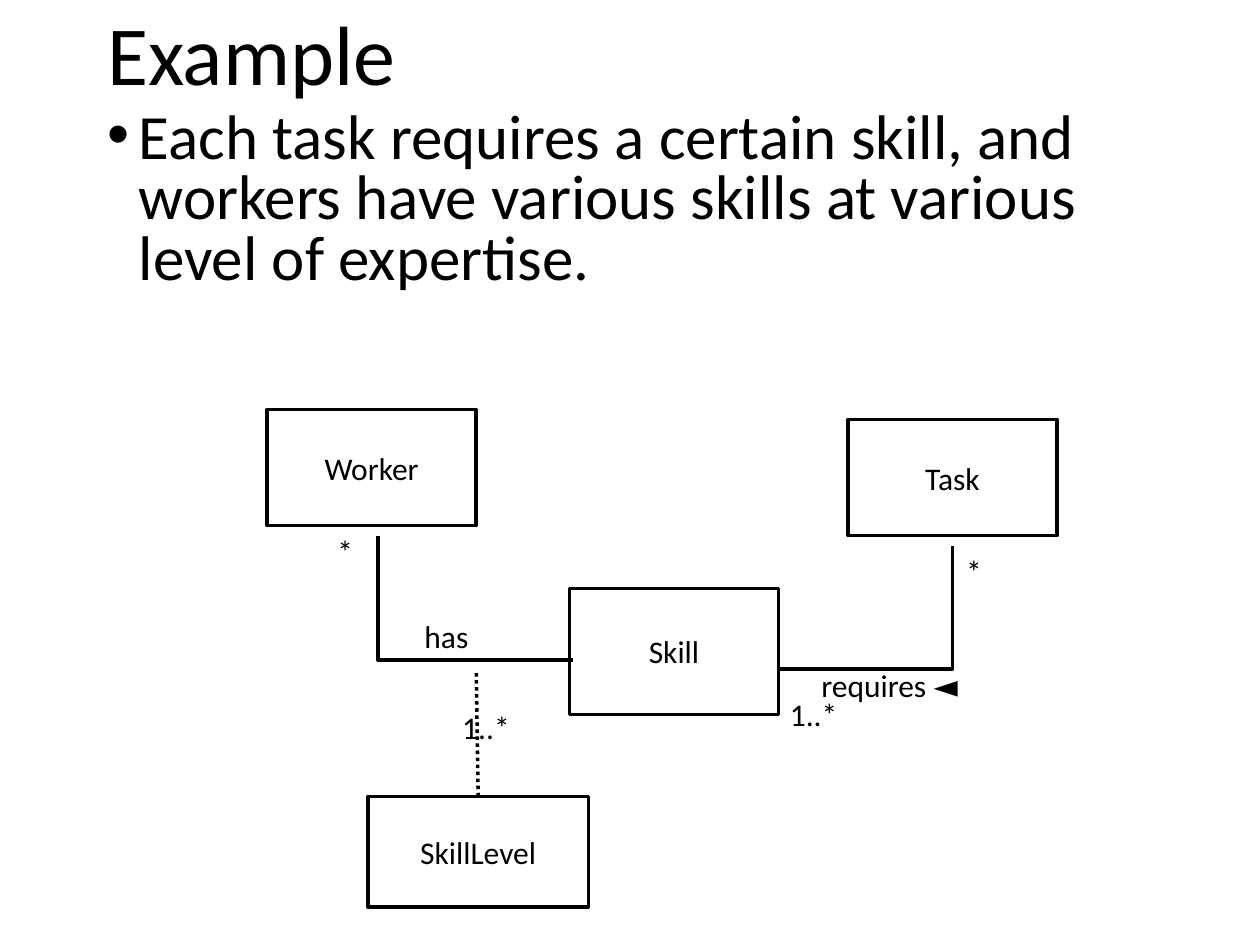
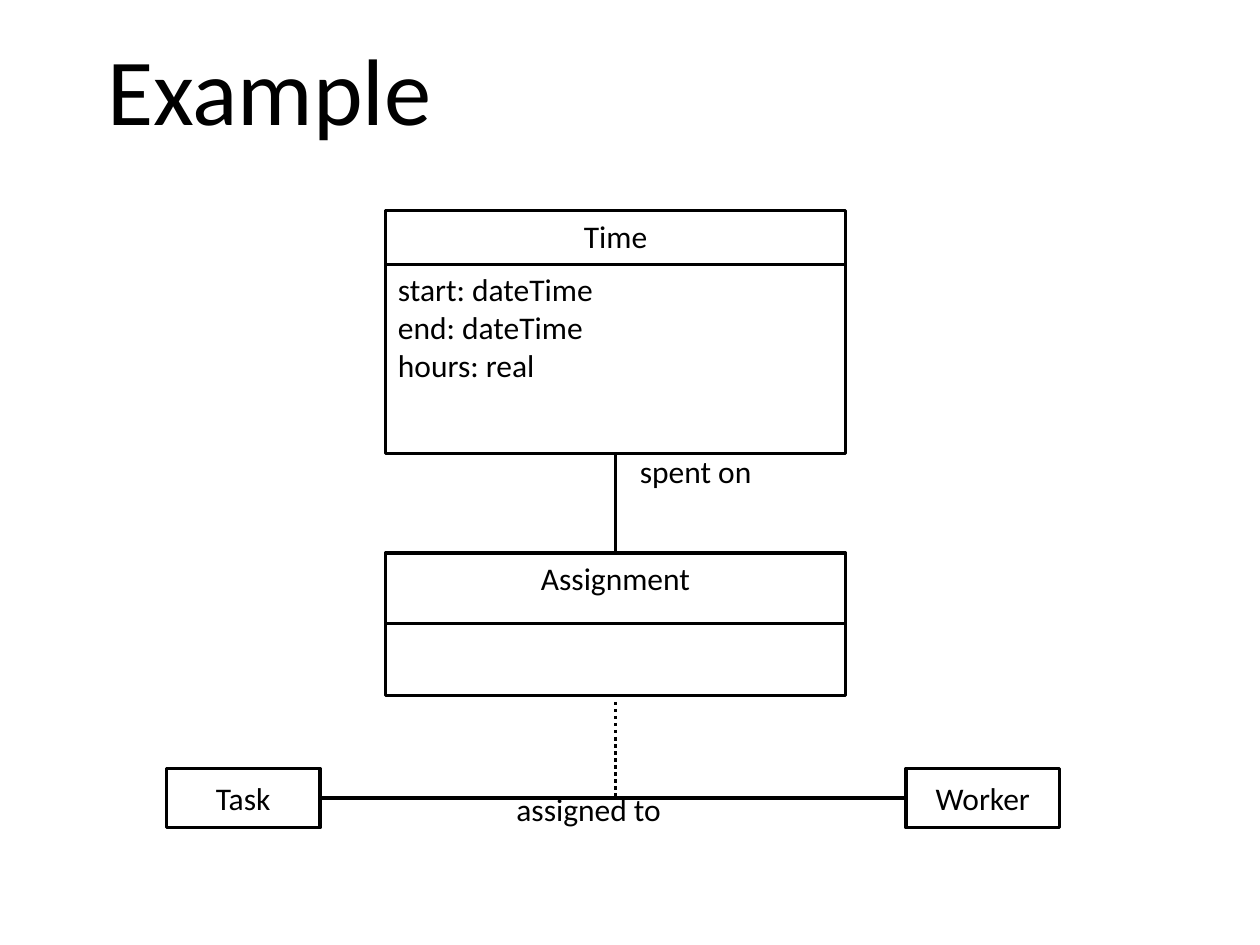
import lxml.etree
import pptx
import pptx.dml.color
import pptx.enum.dml
import pptx.enum.shapes
import pptx.enum.text
import pptx.oxml.ns
import pptx.util

Inches = pptx.util.Inches
Pt = pptx.util.Pt
ALIGN = pptx.enum.text.PP_ALIGN
ANCHOR = pptx.enum.text.MSO_ANCHOR
AUTO_SIZE = pptx.enum.text.MSO_AUTO_SIZE
CONNECTOR = pptx.enum.shapes.MSO_CONNECTOR
COLORS = {"ink": "000000", "paper": "FFFFFF"}
FONT = "Calibri"
LABEL_SIZE = 18
LINE_WIDTH = 2
TOP, LEFT, BOTTOM, RIGHT = range(4)


def color(name):
    return pptx.dml.color.RGBColor.from_string(COLORS[name])


def add_element(parent, tag, **attributes):
    return lxml.etree.SubElement(parent, pptx.oxml.ns.qn(tag), **attributes)


def format_text(text_frame, size=LABEL_SIZE, alignment=ALIGN.LEFT):
    for paragraph in text_frame.paragraphs:
        paragraph.alignment = alignment
        paragraph.font.size = Pt(size)
        for run in paragraph.runs:
            run.font.name = FONT
            run.font.size = Pt(size)
            run.font.color.rgb = color("ink")


def place(shape, left, top, width, height):
    shape.left, shape.top = Inches(left), Inches(top)
    shape.width, shape.height = Inches(width), Inches(height)


def add_title(slide, text, height, size):
    title = slide.shapes.title
    place(title, 0.75, 0, 8.5, height)
    text_frame = title.text_frame
    text_frame.text = text
    text_frame.auto_size = AUTO_SIZE.NONE
    text_frame.vertical_anchor = ANCHOR.MIDDLE
    text_frame.paragraphs[0].line_spacing = 0.9
    format_text(text_frame, size)


def add_body(slide, text, top, height):
    body = slide.placeholders[1]
    place(body, 0.75, top, 8.5, height)
    text_frame = body.text_frame
    text_frame.text = text
    text_frame.auto_size = AUTO_SIZE.NONE
    paragraph = text_frame.paragraphs[0]
    properties = paragraph._p.get_or_add_pPr()
    properties.set("marL", str(Inches(0.25)))
    properties.set("indent", str(-Inches(0.25)))
    add_element(properties, "a:buChar", char="•")
    paragraph.line_spacing = 0.8
    paragraph.space_before = Pt(0)
    format_text(text_frame, 36)


def add_box(slide, text, left, top, width, height):
    box = slide.shapes.add_shape(
        pptx.enum.shapes.MSO_SHAPE.RECTANGLE,
        Inches(left), Inches(top), Inches(width), Inches(height))
    box.shadow.inherit = False
    box.fill.solid()
    box.fill.fore_color.rgb = color("paper")
    box.line.color.rgb = color("ink")
    box.line.width = Pt(LINE_WIDTH)
    text_frame = box.text_frame
    text_frame.text = text
    text_frame.word_wrap = False
    text_frame.vertical_anchor = ANCHOR.MIDDLE
    format_text(text_frame, alignment=ALIGN.CENTER)
    return box


def add_label(slide, text, left, top, width, height=0.4):
    label = slide.shapes.add_textbox(
        Inches(left), Inches(top), Inches(width), Inches(height))
    label.text_frame.text = text
    label.text_frame.word_wrap = False
    label.text_frame.auto_size = AUTO_SIZE.SHAPE_TO_FIT_TEXT
    format_text(label.text_frame)


def add_line(slide, start, end, dotted=False, kind=CONNECTOR.STRAIGHT):
    line = slide.shapes.add_connector(
        kind, *(Inches(value) for value in (*start, *end)))
    line.line.color.rgb = color("ink")
    line.line.width = Pt(LINE_WIDTH)
    if dotted:
        line.line.dash_style = pptx.enum.dml.MSO_LINE.ROUND_DOT
        dash = line._element.spPr.find(".//" + pptx.oxml.ns.qn("a:prstDash"))
        dash.set("val", "sysDot")
    add_element(line._element.spPr, "a:effectLst")
    return line


def join(slide, first, first_side, second, second_side):
    line = add_line(slide, (0, 0), (1, 1))
    line.begin_connect(first, first_side)
    line.end_connect(second, second_side)


def add_corner(slide, upper, lower):
    half_across = (lower[0] - upper[0]) / 2
    half_down = (lower[1] - upper[1]) / 2
    middle_x, middle_y = upper[0] + half_across, upper[1] + half_down
    goes_right = half_across > 0
    side = half_down if goes_right else -half_down
    line = add_line(
        slide,
        (middle_x + side, middle_y - abs(half_across)),
        (middle_x - side, middle_y + abs(half_across)),
        kind=CONNECTOR.ELBOW)
    properties = line._element.spPr
    properties.find(pptx.oxml.ns.qn("a:prstGeom")).set("prst", "bentConnector2")
    turn = 270 if goes_right else 90
    properties.find(pptx.oxml.ns.qn("a:xfrm")).set("rot", str(turn * 60000))


def add_class_box(slide, name, left, top, width, height, divider, attributes=()):
    box = add_box(slide, name, left, top, width, height)
    text_frame = box.text_frame
    text_frame.word_wrap = True
    text_frame.vertical_anchor = ANCHOR.TOP
    if attributes:
        paragraph = text_frame.add_paragraph()
        paragraph.text = "\v".join(attributes)
        format_text(text_frame)
        text_frame.paragraphs[0].alignment = ALIGN.CENTER
        paragraph.space_before = Pt(LABEL_SIZE / 2)
    add_line(slide, (left, top + divider), (left + width, top + divider))
    return box


def add_skill_diagram(slide, left, top):
    add_box(slide, "Worker", left, top, 1.66, 0.92)
    add_box(slide, "Skill", left + 2.4, top + 1.42, 1.66, 1)
    add_box(slide, "Task", left + 4.61, top + 0.08, 1.66, 0.92)
    add_corner(slide, (left + 5.44, top + 1.08), (left + 4.07, top + 2.06))
    add_corner(slide, (left + 0.88, top + 1), (left + 2.43, top + 1.99))
    skill_level = add_box(slide, "SkillLevel", left + 0.8, top + 3.07, 1.75, 0.88)
    dotted_line = add_line(
        slide, (left + 1.67, top + 3.07), (left + 1.66, top + 2.08), dotted=True)
    dotted_line.begin_connect(skill_level, TOP)
    for text, across, down, width in (
        ("requires ◄", 4.3, 1.99, 1.69),
        ("has", 1.15, 1.6, 0.65),
        ("1..*", 1.45, 2.32, 0.58),
        ("*", 0.46, 0.92, 0.33),
        ("*", 5.45, 1.08, 0.33),
        ("1..*", 4.05, 2.22, 0.58),
    ):
        add_label(slide, text, left + across, top + down, width)


def add_assignment_diagram(slide, left, top):
    class_left, class_width = left + 1.74, 3.65
    time = add_class_box(
        slide, "Time", class_left, top, class_width, 1.93, 0.43,
        ("start: dateTime", "end: dateTime", "hours: real"))
    assignment = add_class_box(
        slide, "Assignment", class_left, top + 2.72, class_width, 1.13, 0.56)
    task, worker = (
        add_box(slide, name, left + across, top + 4.43, 1.22, 0.47)
        for name, across in (("Task", 0), ("Worker", 5.87)))
    join(slide, task, RIGHT, worker, LEFT)
    join(slide, time, BOTTOM, assignment, TOP)
    middle = class_left + class_width / 2
    add_line(slide, (middle, top + 3.9), (middle, top + 4.66), dotted=True)
    add_label(slide, "assigned to", left + 2.68, top + 4.55, 1.69)
    add_label(slide, "spent on", left + 3.66, top + 1.87, 1.32)


def main():
    presentation = pptx.Presentation()
    presentation.slide_width = Inches(10)
    presentation.slide_height = Inches(7.5)
    layouts = presentation.slide_layouts

    skill_slide = presentation.slides.add_slide(layouts.get_by_name("Title and Content"))
    add_title(skill_slide, "Example", 0.92, 48)
    add_body(
        skill_slide,
        "Each task requires a certain skill, and workers have various skills "
        "at various level of expertise.",
        0.83, 1.67)
    add_skill_diagram(skill_slide, 2.12, 3.25)

    assignment_slide = presentation.slides.add_slide(layouts.get_by_name("Title Only"))
    add_title(assignment_slide, "Example", 1.5, 54)
    add_assignment_diagram(assignment_slide, 1.32, 1.67)

    presentation.save("out.pptx")


if __name__ == "__main__":
    main()
